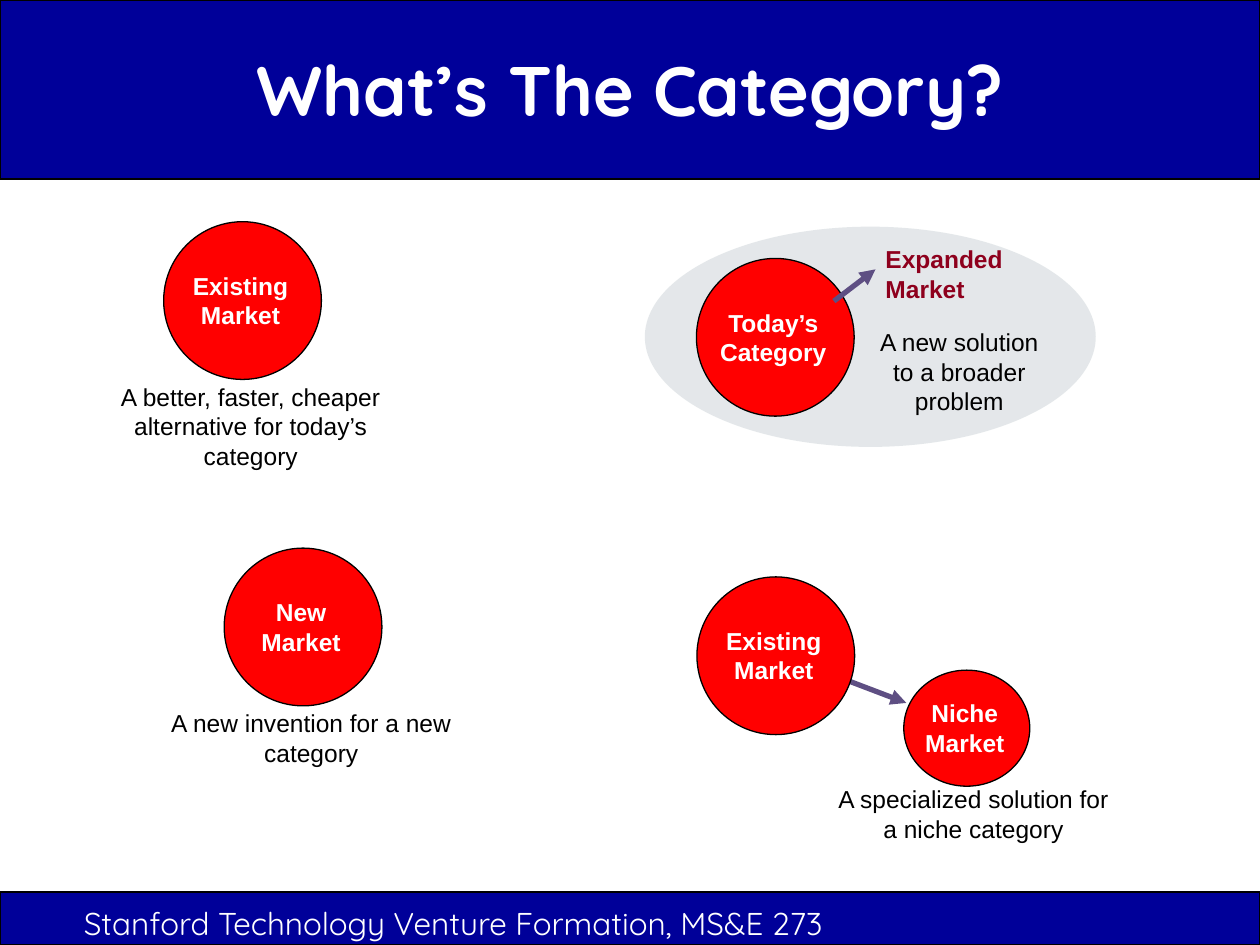
import pptx
import pptx.util
import pptx.dml.color
import pptx.enum.shapes
import pptx.enum.text
import pptx.oxml
import pptx.oxml.ns

Cm = pptx.util.Cm
Pt = pptx.util.Pt
RGB = pptx.dml.color.RGBColor
Shape = pptx.enum.shapes.MSO_SHAPE
Align = pptx.enum.text.PP_ALIGN
Anchor = pptx.enum.text.MSO_ANCHOR

NAVY = RGB(0x00, 0x00, 0x99)
RED = RGB(0xFF, 0x00, 0x00)
GREY = RGB(0xCA, 0xD1, 0xD6)
WINE = RGB(0x8E, 0x00, 0x1D)
PURPLE = RGB(0x5E, 0x4F, 0x83)
WHITE = RGB(0xFF, 0xFF, 0xFF)
BLACK = RGB(0x00, 0x00, 0x00)

WIDE, HIGH = 25.4, 19.05
DISC = 3.18    # diameter of a main circle
NAME = 2.8     # width of a circle's name, roomy enough for the longest word
LINE = 1.45    # height of a two-line text

BODY = {"name": "Arial", "size": Pt(14), "bold": False}
BOLD = {**BODY, "bold": True}
HEAD = {"name": "Quicksand", "size": Pt(40), "bold": True}
FOOT = {"name": "Quicksand", "size": Pt(18), "bold": False}


def apply(item, vals):
    for key, val in vals.items():
        setattr(item, key, val)


def place(item, x, y, w, h):
    apply(item, {"left": Cm(x), "top": Cm(y), "width": Cm(w), "height": Cm(h)})


def write(item, text, style, color, align=Align.CENTER, **frame):
    """Fill a text frame; a vertical tab in the text breaks the line."""
    body = item.text_frame
    body.text = text
    apply(body, {"word_wrap": True, **frame})
    for para in body.paragraphs:
        para.alignment = align
        apply(para.font, style)
        para.font.color.rgb = color


def label(slide, x, y, w, h, text, style=BODY, color=BLACK, **rest):
    box = slide.shapes.add_textbox(Cm(x), Cm(y), Cm(w), Cm(h))
    write(box, text, style, color, **rest)


def solid(slide, kind, x, y, w, h, fill, edge=BLACK):
    item = slide.shapes.add_shape(kind, Cm(x), Cm(y), Cm(w), Cm(h))
    item.shadow.inherit = False
    item.fill.solid()
    item.fill.fore_color.rgb = fill
    if edge is None:
        item.line.fill.background()
    else:
        item.line.color.rgb = edge
        item.line.width = Pt(0.75)
    return item


def disc(slide, x, y, text, w=DISC, h=DISC):
    """Red circle with a two-line name centred on it."""
    solid(slide, Shape.OVAL, x, y, w, h, RED)
    label(slide, x + (w - NAME) / 2 - 0.04, y + (h - LINE) / 2, NAME, LINE,
          text, BOLD, WHITE, word_wrap=False)


def arrow(slide, x1, y1, x2, y2):
    item = slide.shapes.add_connector(
        pptx.enum.shapes.MSO_CONNECTOR.STRAIGHT, Cm(x1), Cm(y1), Cm(x2), Cm(y2))
    item.line.color.rgb = PURPLE
    item.line.width = Pt(3)
    tip = pptx.oxml.parse_xml(
        '<a:tailEnd %s type="triangle"/>' % pptx.oxml.ns.nsdecls("a"))
    item.line._get_or_add_ln().append(tip)
    item._element.spPr.append(
        pptx.oxml.parse_xml("<a:effectLst %s/>" % pptx.oxml.ns.nsdecls("a")))


def header(slide, x, y, w, h):
    solid(slide, Shape.RECTANGLE, x, y, w, h, NAVY)
    title = slide.shapes.title
    place(title, x, y + 0.2, w, h - 0.43)
    write(title, "What’s The Category?", HEAD, WHITE,
          vertical_anchor=Anchor.MIDDLE)
    # Bring the title in front of its band
    slide.shapes._spTree.append(title._element)


def footer(slide, x, y, w, h):
    solid(slide, Shape.RECTANGLE, x, y, w, h, NAVY)
    label(slide, x + 1.27, y, 21.39, 1.27,
          "Stanford Technology Venture Formation, MS&E 273", FOOT, WHITE,
          align=Align.LEFT, vertical_anchor=Anchor.MIDDLE,
          margin_left=Cm(0.42))


def market(slide, x, y, name, note, high):
    """One circle with a note below it."""
    disc(slide, x, y, name)
    label(slide, x - 1.52, y + 3.1, 6.55, high, note)


def expand(slide, x, y, w, h):
    """Today's category growing into a wider market."""
    oval = solid(slide, Shape.OVAL, x, y, w, h, GREY, None)
    tint = oval.fill._xPr.find(".//" + pptx.oxml.ns.qn("a:srgbClr"))
    tint.append(pptx.oxml.parse_xml(
        '<a:alpha %s val="50000"/>' % pptx.oxml.ns.nsdecls("a")))
    disc(slide, x + 1.04, y + 0.64, "Today’s\vCategory")
    label(slide, x + 4.6, y + 0.23, 3, LINE, "Expanded\vMarket", BOLD, WINE,
          align=Align.LEFT, word_wrap=False)
    label(slide, x + 4.22, y + 1.9, 4.24, 2.03,
          "A new solution to a broader problem")
    arrow(slide, x + 3.81, y + 1.5, x + 4.65, y + 0.86)


def niche(slide, x, y):
    """Existing market leading to a smaller one."""
    disc(slide, x + 4.17, y + 1.88, "Niche\vMarket", 2.54, 2.34)
    label(slide, x + 2.54, y + 4.06, 6.07, LINE,
          "A specialized solution for a niche category")
    arrow(slide, x + 2.54, y + 1.9, x + 4.22, y + 2.54)
    disc(slide, x, y, "Existing\nMarket")


def main():
    deck = pptx.Presentation()
    apply(deck, {"slide_width": Cm(WIDE), "slide_height": Cm(HIGH)})
    slide = deck.slides.add_slide(deck.slide_layouts.get_by_name("Title Only"))

    # Bands
    footer(slide, 0, 17.98, WIDE, 1.07)
    header(slide, 0, 0, WIDE, 3.61)

    # Left column
    market(slide, 3.3, 4.47, "Existing\nMarket",
           "A better, faster, cheaper alternative for today’s category", 2.03)
    market(slide, 4.52, 11.05, "New\nMarket",
           "A new invention for a new category", LINE)

    # Right column
    expand(slide, 13, 4.57, 9.09, 4.44)
    niche(slide, 14.05, 11.63)

    deck.save("out.pptx")


if __name__ == "__main__":
    main()
